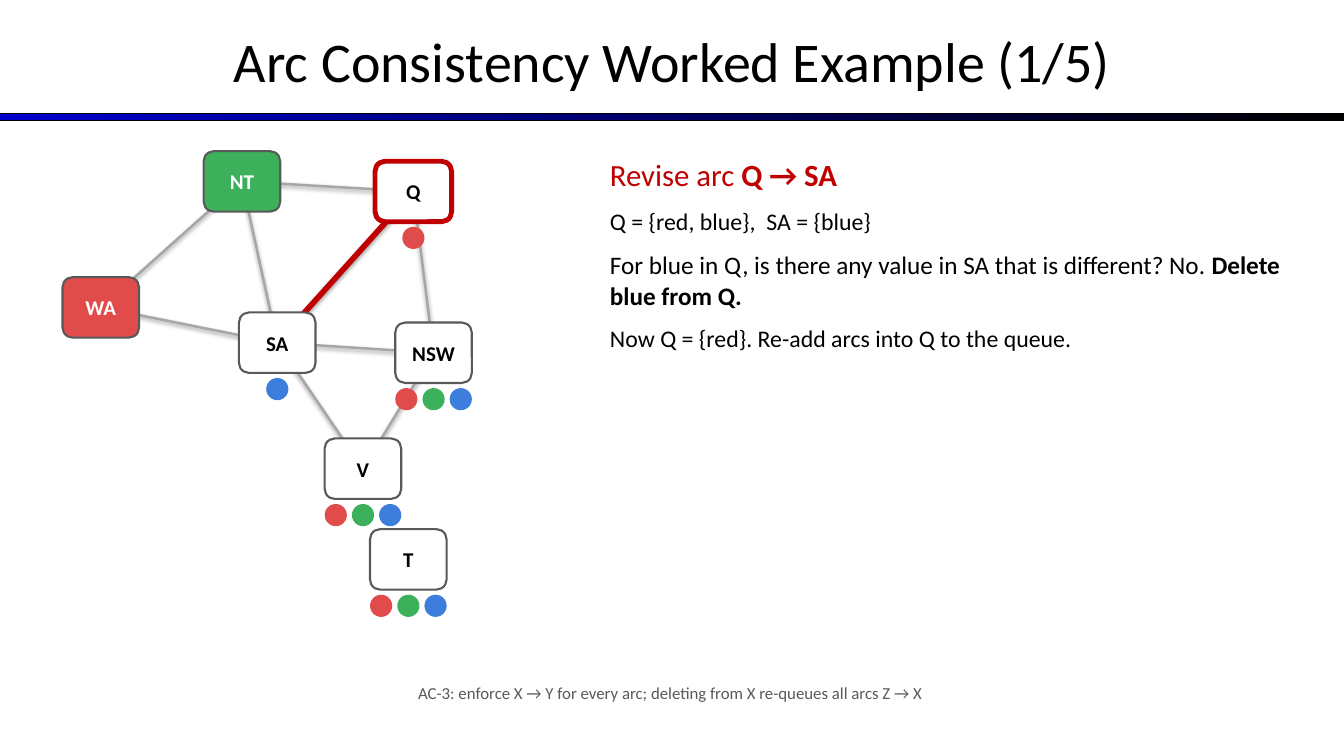
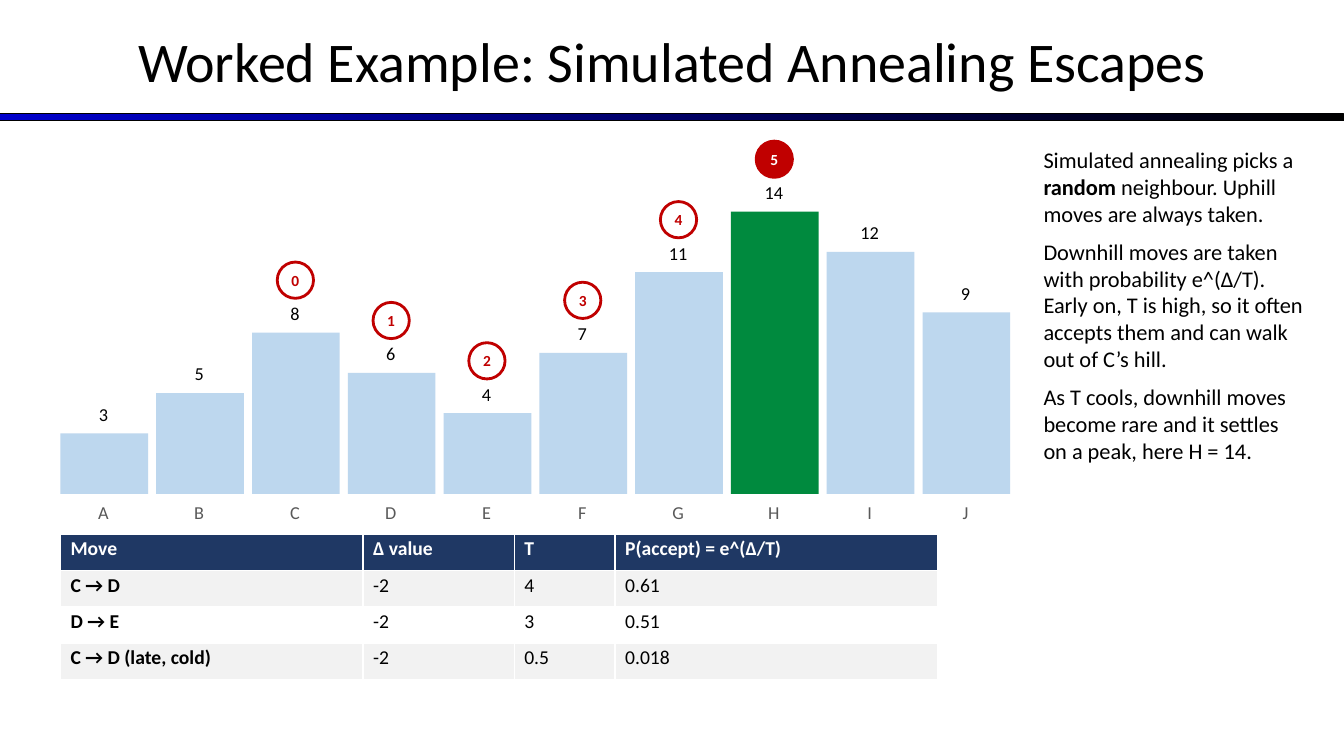
"""Build two worked-example slides: arc consistency and simulated annealing."""
from dataclasses import dataclass

from lxml.etree import SubElement
from pptx import Presentation
from pptx.dml.color import RGBColor
from pptx.enum.shapes import MSO_CONNECTOR, MSO_SHAPE
from pptx.enum.text import MSO_ANCHOR, PP_ALIGN
from pptx.oxml.ns import qn
from pptx.util import Inches, Pt


@dataclass(frozen=True)
class Theme:
    """Colours and type sizes of the deck."""
    font: str = "Calibri"
    black: str = "000000"
    white: str = "FFFFFF"
    gray: str = "595959"
    edge: str = "A6A6A6"
    accent: str = "C00000"
    band: str = "0000CC"
    red: str = "E04B4B"
    green: str = "3CB05A"
    blue: str = "3D7DDB"
    bar: str = "BDD7EE"
    peak: str = "008A3E"
    header: str = "1F3864"
    stripe: str = "F2F2F2"
    title_size: int = 40
    lead_size: int = 22
    key_size: int = 18
    body_size: int = 17
    side_size: int = 16
    node_size: int = 15
    table_size: int = 14
    label_size: int = 13
    note_size: int = 12
    badge_size: int = 11


T = Theme()
ALL = (T.red, T.green, T.blue)
NODES = {
    "WA": (1, 3.05, T.red, ()),
    "NT": (2.4, 1.8, T.green, ()),
    "SA": (2.75, 3.4, T.white, (T.blue,)),
    "Q": (4.1, 1.9, T.white, (T.red,)),
    "NSW": (4.3, 3.5, T.white, ALL),
    "V": (3.6, 4.65, T.white, ALL),
    "T": (4.05, 5.55, T.white, ALL),
}
EDGES = ["NT WA", "NT SA", "NT Q", "SA WA", "SA V", "Q SA", "NSW Q", "NSW SA", "NSW V"]
ACTIVE = "Q SA"
STATES = dict(zip("ABCDEFGHIJ", (3, 5, 8, 6, 4, 7, 11, 14, 12, 9)))
WALK = "CDEFGH"
PEAK = "H"
LEFT, BASE, UNIT, PITCH = 0.6, 4.9, 0.2, 0.95
MOVES = [
    ("Move", "Δ value", "T", "P(accept) = e^(Δ/T)"),
    ("C → D", "-2", "4", "0.61"),
    ("D → E", "-2", "3", "0.51"),
    ("C → D (late, cold)", "-2", "0.5", "0.018"),
]


def rgb(color):
    """Turn a hex string into a colour."""
    return RGBColor.from_string(color)


def box(*lengths):
    """Turn inch values into lengths."""
    return [Inches(n) for n in lengths]


def style(font, size, color=T.black, bold=False):
    """Apply the deck's type style to a font."""
    for name, value in {"name": T.font, "size": Pt(size), "bold": bold}.items():
        setattr(font, name, value)
    font.color.rgb = rgb(color)


def set_insets(target, x, y):
    """Set the inner margins of a text frame or cell."""
    for side, value in {"left": x, "right": x, "top": y, "bottom": y}.items():
        setattr(target, f"margin_{side}", Inches(value))


def add_text(s, at, paras, align=PP_ALIGN.LEFT, anchor=MSO_ANCHOR.TOP, after=0):
    """Add a text box whose paragraphs are lists of (text, style) runs."""
    tf = s.shapes.add_textbox(*box(*at)).text_frame
    tf.word_wrap, tf.vertical_anchor = True, anchor
    set_insets(tf, 0.05, 0.05)
    for i, runs in enumerate(paras):
        p = tf.paragraphs[0] if i == 0 else tf.add_paragraph()
        p.alignment, p.space_after = align, Pt(after)
        for text, look in runs:
            r = p.add_run()
            r.text = text
            style(r.font, **look)


def add_label(s, at, text, size, color=T.black):
    """Add a centred one-line label."""
    add_text(s, at, [[(text, {"size": size, "color": color})]], PP_ALIGN.CENTER, after=4)


def add_figure(s, kind, at, fill, line=None, width=1, text="", **look):
    """Add a flat preset shape with an optional outline and centred label."""
    sp = s.shapes.add_shape(kind, *box(*at))
    sp.shadow.inherit = False
    sp.fill.solid()
    sp.fill.fore_color.rgb = rgb(fill)
    if line:
        sp.line.color.rgb = rgb(line)
        sp.line.width = Pt(width)
    else:
        sp.line.fill.background()
    if text:
        tf = sp.text_frame
        tf.vertical_anchor = MSO_ANCHOR.MIDDLE
        set_insets(tf, 0, 0)
        p = tf.paragraphs[0]
        p.alignment = PP_ALIGN.CENTER
        r = p.add_run()
        r.text = text
        style(r.font, bold=True, **look)
    return sp


def new_slide(prs, title):
    """Add a blank slide with the title and gradient band."""
    s = prs.slides.add_slide(prs.slide_layouts[6])
    band = add_figure(s, MSO_SHAPE.RECTANGLE, (0, 1.13, 13.33, 0.07), T.band, T.black, 0.75)
    band.fill.gradient()
    band.fill.gradient_angle = 0
    for stop, color in zip(band.fill.gradient_stops, (T.band, T.black)):
        stop.color.rgb = rgb(color)
    add_text(s, (0, -0.03, 13.33, 1.25), [[(title, {"size": T.title_size})]],
             PP_ALIGN.CENTER, MSO_ANCHOR.MIDDLE)
    return s


def add_edge(s, edge):
    """Join two node centres, with an arrow on the active arc."""
    ends = [n for name in edge.split() for n in NODES[name][:2]]
    c = s.shapes.add_connector(MSO_CONNECTOR.STRAIGHT, *box(*ends))
    active = edge == ACTIVE
    c.line.color.rgb = rgb(T.accent if active else T.edge)
    c.line.width = Pt(4 if active else 1.75)
    if active:
        SubElement(c.element.find(".//" + qn("a:ln")), qn("a:tailEnd"), type="triangle")


def add_node(s, name):
    """Add a region box with its remaining domain as dots below."""
    x, y, fill, domain = NODES[name]
    line, width = (T.accent, 3.5) if name == ACTIVE.split()[0] else (T.gray, 1.5)
    color = T.black if fill == T.white else T.white
    add_figure(s, MSO_SHAPE.ROUNDED_RECTANGLE, (x - 0.38, y - 0.3, 0.76, 0.6),
               fill, line, width, name, size=T.node_size, color=color)
    for i, dot in enumerate(domain):
        left = x - 0.11 + 0.27 * (i - (len(domain) - 1) / 2)
        add_figure(s, MSO_SHAPE.OVAL, (left, y + 0.35, 0.22, 0.22), dot)


def add_column(s, i, state, value):
    """Add one state's column with its value above and name below."""
    x, height = LEFT + PITCH * i, UNIT * value
    top = BASE - height
    add_figure(s, MSO_SHAPE.RECTANGLE, (x, top, 0.87, height),
               T.peak if state == PEAK else T.bar)
    add_label(s, (x - 0.05, top - 0.35, PITCH, 0.3), str(value), T.label_size)
    add_label(s, (x - 0.05, BASE + 0.02, PITCH, 0.3), state, T.label_size, T.gray)


def add_badge(s, step, state):
    """Mark a step of the walk above its column."""
    left = LEFT + 0.25 + PITCH * list(STATES).index(state)
    top = BASE - UNIT * STATES[state] - 0.7
    fill, color = (T.accent, T.white) if state == PEAK else (T.white, T.accent)
    add_figure(s, MSO_SHAPE.OVAL, (left, top, 0.36, 0.36), fill, T.accent, 2,
               str(step), size=T.badge_size, color=color)


def add_moves(s):
    """Add the table of acceptance probabilities."""
    at = box(LEFT, 5.3, 8.7, 0.36 * len(MOVES))
    table = s.shapes.add_table(len(MOVES), len(MOVES[0]), *at).table
    for column, width in zip(table.columns, (3, 1.5, 1, 3.2)):
        column.width = Inches(width)
    for i, row in enumerate(MOVES):
        fill = T.header if i == 0 else (T.white, T.stripe)[i % 2]
        for j, text in enumerate(row):
            cell = table.cell(i, j)
            set_insets(cell, 0.1, 0.03)
            cell.fill.solid()
            cell.fill.fore_color.rgb = rgb(fill)
            r = cell.text_frame.paragraphs[0].add_run()
            r.text = text
            style(r.font, T.table_size, T.black if i else T.white, i == 0 or j == 0)


def arc_slide(prs):
    """Build the arc consistency slide."""
    s = new_slide(prs, "Arc Consistency Worked Example (1/5)")
    for edge in EDGES:
        add_edge(s, edge)
    for name in NODES:
        add_node(s, name)
    lead = {"size": T.lead_size, "color": T.accent}
    body, key = {"size": T.body_size}, {"size": T.key_size}
    add_text(s, (6, 1.5, 7, 5), [
        [("Revise arc ", lead), ("Q → SA", {**lead, "bold": True})],
        [("Q = {red, blue},  SA = {blue}", body)],
        [("For blue in Q, is there any value in SA that is different? No. ", key),
         ("Delete blue from Q.", {**key, "bold": True})],
        [("Now Q = {red}. Re-add arcs into Q to the queue.", body)],
    ], after=10)
    add_label(s, (0.4, 6.72, 12.5, 0.35),
              "AC-3: enforce X → Y for every arc; deleting from X re-queues all arcs Z → X",
              T.note_size, T.gray)


def annealing_slide(prs):
    """Build the simulated annealing slide."""
    s = new_slide(prs, "Worked Example: Simulated Annealing Escapes")
    for i, (state, value) in enumerate(STATES.items()):
        add_column(s, i, state, value)
    for step, state in enumerate(WALK):
        add_badge(s, step, state)
    add_moves(s)
    side = {"size": T.side_size}
    add_text(s, (10.3, 1.4, 2.7, 5.2), [
        [("Simulated annealing picks a ", side), ("random", {**side, "bold": True}),
         (" neighbour. Uphill moves are always taken.", side)],
        [("Downhill moves are taken with probability e^(Δ/T). Early on, T is high, "
          "so it often accepts them and can walk out of C’s hill.", side)],
        [("As T cools, downhill moves become rare and it settles on a peak, "
          "here H = 14.", side)],
    ], after=8)


def main():
    """Build and save the deck."""
    prs = Presentation()
    prs.slide_width, prs.slide_height = box(13.33, 7.5)
    arc_slide(prs)
    annealing_slide(prs)
    prs.save("out.pptx")


if __name__ == "__main__":
    main()
